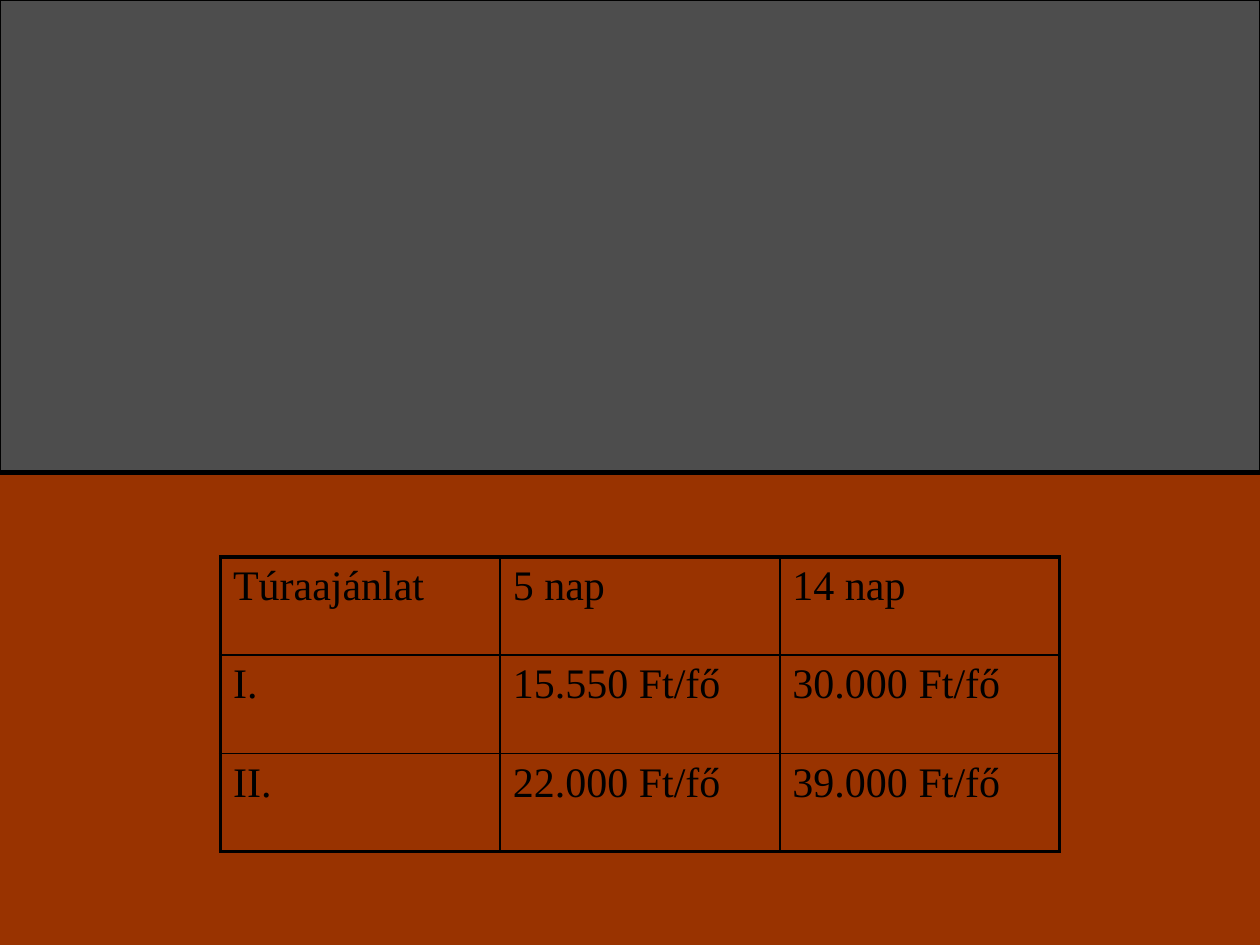
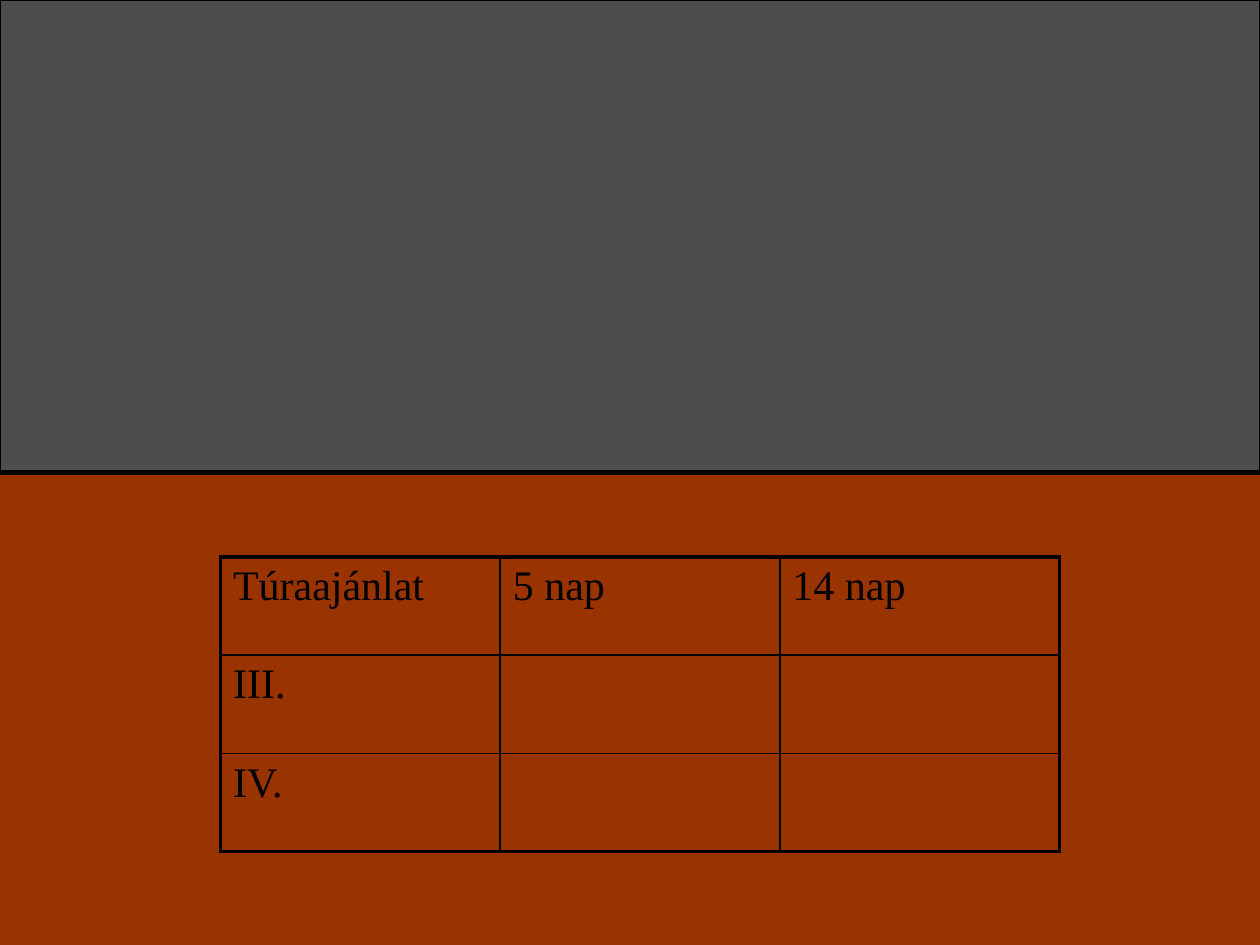
"""Builds two slides with the price tables of the tour offers."""
from lxml import etree
from pptx import Presentation
from pptx.dml.color import RGBColor
from pptx.enum.shapes import MSO_CONNECTOR, MSO_SHAPE
from pptx.oxml.ns import qn
from pptx.util import Inches, Pt

RECTANGLE = MSO_SHAPE.RECTANGLE
STRAIGHT = MSO_CONNECTOR.STRAIGHT

HEADINGS = ("Túraajánlat", "5 nap", "14 nap")
OFFERS_BY_SLIDE = [
    [("I.", "15.550 Ft/fő", "30.000 Ft/fő"), ("II.", "22.000 Ft/fő", "39.000 Ft/fő")],
    [("III.", "", ""), ("IV.", "", "")],
]

COLORS = {"background": "993300", "band": "4D4D4D", "ink": "000000"}
FONT = "Times New Roman"
FONT_SIZE = 24
SLIDE_WIDTH, SLIDE_HEIGHT = 10, 7.5
BAND_HEIGHT = SLIDE_HEIGHT / 2
PRICES_LEFT, PRICES_TOP = 1.75, 4.42
COLUMN_WIDTH, ROW_HEIGHT = 2.22, 0.78
OUTER_BORDER, INNER_BORDER = 2.25, 1


def color(name):
    return RGBColor.from_string(COLORS[name])


def set_line(line, width):
    line.color.rgb = color("ink")
    line.width = Pt(width)


def add_band(slide):
    band = slide.shapes.add_shape(RECTANGLE, 0, 0, Inches(SLIDE_WIDTH), Inches(BAND_HEIGHT))
    band.shadow.inherit = False
    band.fill.solid()
    band.fill.fore_color.rgb = color("band")
    set_line(band.line, 0.75)

    divider = slide.shapes.add_connector(
        STRAIGHT, 0, Inches(BAND_HEIGHT), Inches(SLIDE_WIDTH), Inches(BAND_HEIGHT))
    set_line(divider.line, 3)
    etree.SubElement(divider.element.spPr, qn("a:effectLst"))


def set_borders(cell, outer_sides):
    properties = cell._tc.get_or_add_tcPr()
    for side, is_outer in outer_sides.items():
        width = OUTER_BORDER if is_outer else INNER_BORDER
        border = etree.SubElement(properties, qn(f"a:ln{side}"), w=str(Pt(width)))
        fill = etree.SubElement(border, qn("a:solidFill"))
        etree.SubElement(fill, qn("a:srgbClr"), val=COLORS["ink"])


def add_prices(slide, rows):
    row_count, column_count = len(rows), len(HEADINGS)
    prices = slide.shapes.add_table(
        row_count, column_count, Inches(PRICES_LEFT), Inches(PRICES_TOP),
        Inches(COLUMN_WIDTH * column_count), Inches(ROW_HEIGHT * row_count)).table
    prices.first_row = prices.horz_banding = False
    for column in prices.columns:
        column.width = Inches(COLUMN_WIDTH)
    for r, texts in enumerate(rows):
        prices.rows[r].height = Inches(ROW_HEIGHT)
        for c, text in enumerate(texts):
            cell = prices.cell(r, c)
            set_borders(cell, {"L": c == 0, "R": c == column_count - 1,
                               "T": r == 0, "B": r == row_count - 1})
            cell.fill.background()
            cell.text = text
            font = cell.text_frame.paragraphs[0].font
            font.name = FONT
            font.size = Pt(FONT_SIZE)
            font.color.rgb = color("ink")


def main():
    deck = Presentation()
    deck.slide_width, deck.slide_height = Inches(SLIDE_WIDTH), Inches(SLIDE_HEIGHT)
    background = deck.slide_master.background.fill
    background.solid()
    background.fore_color.rgb = color("background")
    for offers in OFFERS_BY_SLIDE:
        slide = deck.slides.add_slide(deck.slide_layouts[6])
        add_band(slide)
        add_prices(slide, [HEADINGS, *offers])
    deck.save("out.pptx")


if __name__ == "__main__":
    main()
